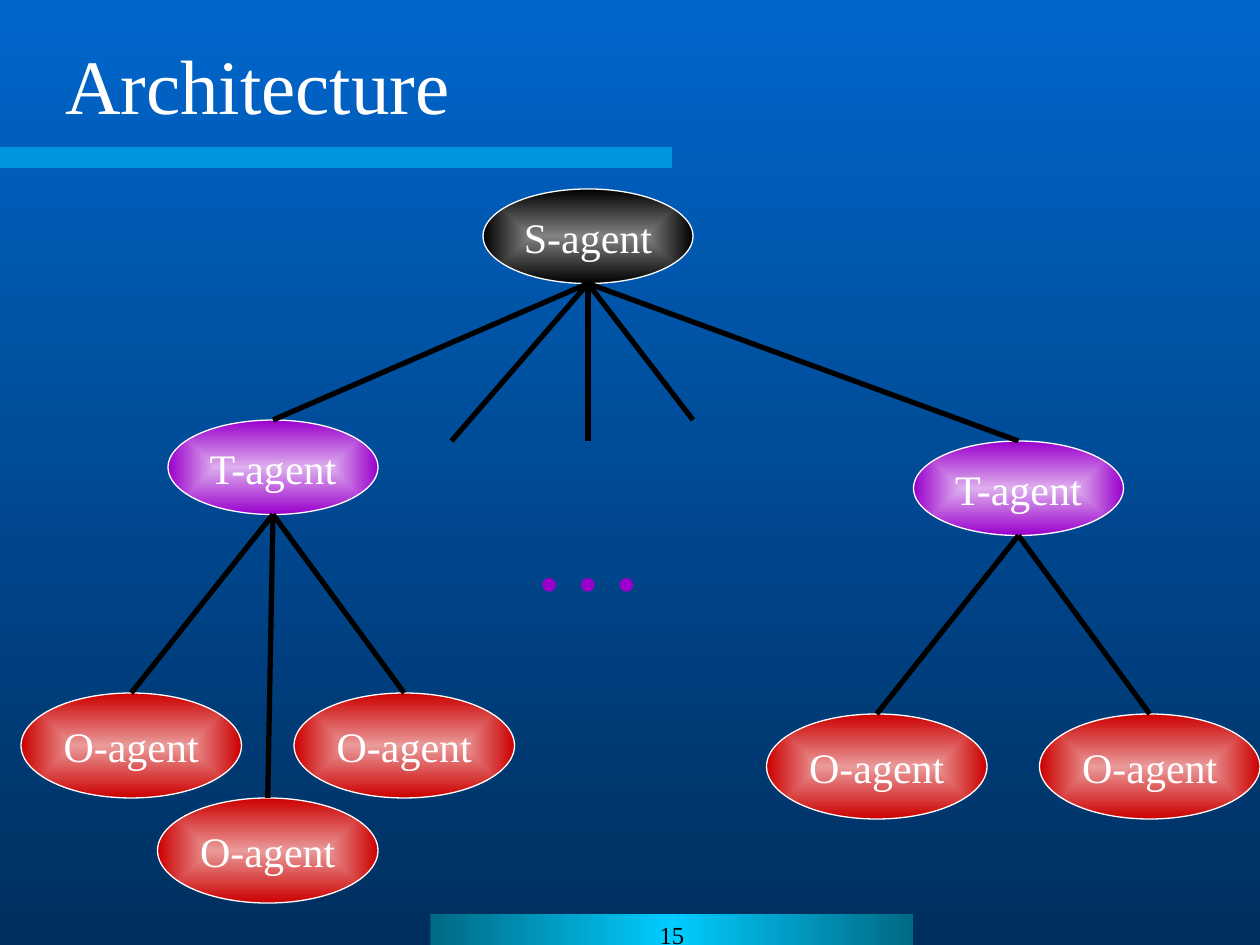
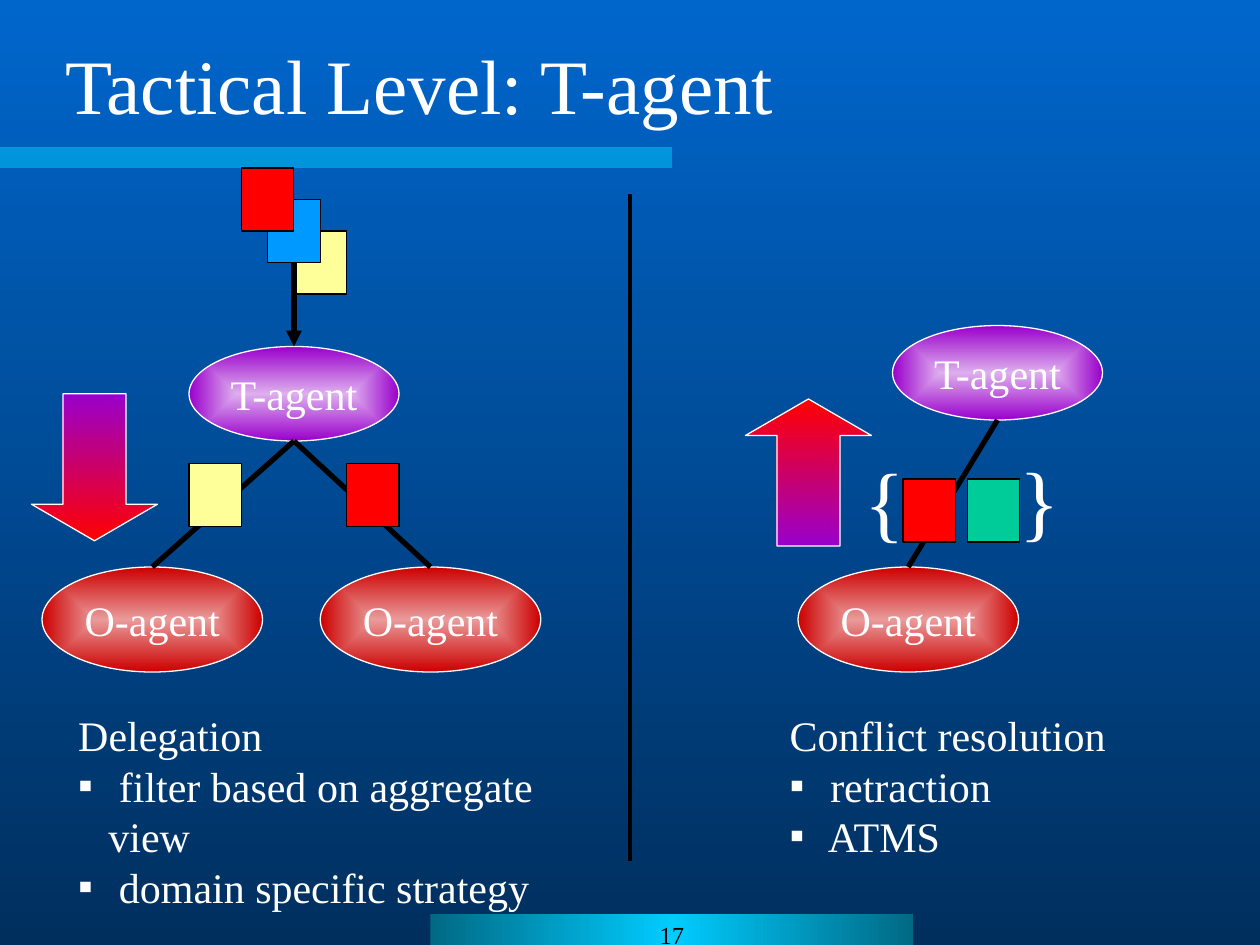
"""Builds two slides on an agent architecture: the hierarchy and the tactical level."""
from lxml import etree
from pptx import Presentation
from pptx.dml.color import RGBColor
from pptx.enum.shapes import MSO_CONNECTOR, MSO_SHAPE
from pptx.enum.text import MSO_ANCHOR, MSO_AUTO_SIZE, PP_ALIGN
from pptx.oxml.ns import qn
from pptx.util import Pt

PX = 9525
FONT = "Times New Roman"
WHITE, BLACK, RED, PURPLE = "FFFFFF", "000000", "FF0000", "9900CC"
YELLOW, BLUE, GREEN, CYAN, TEAL = "FFFF99", "0099FF", "00CC99", "00CCFF", "006984"
RECTANGLE, ELLIPSE = MSO_SHAPE.RECTANGLE, MSO_SHAPE.OVAL
DOWN_ARROW, UP_ARROW = MSO_SHAPE.DOWN_ARROW, MSO_SHAPE.UP_ARROW
STRAIGHT = MSO_CONNECTOR.STRAIGHT
LEFT, CENTER = PP_ALIGN.LEFT, PP_ALIGN.CENTER
TOP, MIDDLE = MSO_ANCHOR.TOP, MSO_ANCHOR.MIDDLE
NO_FIT = MSO_AUTO_SIZE.NONE
TITLE_ONLY, TWO_CONTENT = 5, 3
rgb = RGBColor.from_string


def fill_gradient(fill, holder, colors, angle=None):
    """Spread colours evenly, along an angle or outward from the centre."""
    fill.gradient()
    gradient = holder.find(".//" + qn("a:gradFill"))
    for child in list(gradient):
        gradient.remove(child)
    stops = etree.SubElement(gradient, qn("a:gsLst"))
    for i, color in enumerate(colors):
        stop = etree.SubElement(stops, qn("a:gs"), pos=str(100000 * i // (len(colors) - 1)))
        etree.SubElement(stop, qn("a:srgbClr"), val=color)
    if angle is None:
        outward = etree.SubElement(gradient, qn("a:path"), path="rect")
        etree.SubElement(outward, qn("a:fillToRect"), dict.fromkeys("ltrb", "50000"))
    else:
        etree.SubElement(gradient, qn("a:lin"), ang=str(angle * 60000), scaled="0")


def draw_line(slide, start, end, width=3):
    """Draw a straight black line without shadow."""
    line = slide.shapes.add_connector(STRAIGHT, *(PX * v for v in (*start, *end)))
    line.line.color.rgb = rgb(BLACK)
    line.line.width = Pt(width)
    etree.SubElement(line._element.spPr, qn("a:effectLst"))
    return line


AGENTS = {
    "S-agent": (160, 72, "828282", BLACK),
    "T-agent": (160, 72, "DEAFEE", PURPLE),
    "O-agent": (168, 80, "EA9A9A", "CC0000"),
}
HIERARCHY = [
    ("S-agent", 368, 144, None),
    ("T-agent", 128, 320, 0),
    ("T-agent", 696, 336, 0),
    ("O-agent", 16, 528, 1),
    ("O-agent", 224, 528, 1),
    ("O-agent", 120, 608, 1),
    ("O-agent", 584, 544, 2),
    ("O-agent", 792, 544, 2),
]
TACTICAL = [
    ("T-agent", 144, 264, None),
    ("O-agent", 32, 432, 0),
    ("O-agent", 244, 432, 0),
    ("T-agent", 680, 248, None),
    ("O-agent", 608, 432, 3),
]

deck = Presentation()
deck.slide_width, deck.slide_height = 960 * PX, 720 * PX
master = deck.slide_master
fill_gradient(master.background.fill, master.element, ["0066CC", "002F5E"], 90)

slides = []
texts = []
for heading, number, layout, agents in [
    ("Architecture", "15", TITLE_ONLY, HIERARCHY),
    ("Tactical Level: T-agent", "17", TWO_CONTENT, TACTICAL),
]:
    slide = deck.slides.add_slide(deck.slide_layouts[layout])
    slides.append(slide)
    title = slide.shapes.title
    title.left, title.top, title.width, title.height = (PX * v for v in (40, 24, 888, 80))
    title.text_frame.text = heading
    title.text_frame.vertical_anchor = MIDDLE
    texts.append((title, 44, WHITE, LEFT))

    title_band = slide.shapes.add_shape(RECTANGLE, *(PX * v for v in (0, 112, 512, 16)))
    title_band.fill.solid()
    title_band.fill.fore_color.rgb = rgb(CYAN)
    band_color = title_band._element.spPr.find(".//" + qn("a:srgbClr"))
    etree.SubElement(band_color, qn("a:alpha"), val="50000")
    footer = slide.shapes.add_shape(RECTANGLE, *(PX * v for v in (328, 696, 368, 24)))
    fill_gradient(footer.fill, footer._element, [TEAL, CYAN, TEAL], 0)
    footer.text_frame.text = number
    footer.text_frame.vertical_anchor = TOP
    texts.append((footer, 14, BLACK, CENTER))
    for band in (title_band, footer):
        band.line.fill.background()
        band.shadow.inherit = False

    for kind, left, top, parent in agents:
        width, height, inner, outer = AGENTS[kind]
        agent = slide.shapes.add_shape(ELLIPSE, *(PX * v for v in (left, top, width, height)))
        fill_gradient(agent.fill, agent._element, [inner, outer])
        agent.line.color.rgb = rgb(WHITE)
        agent.line.width = Pt(0.75)
        agent.shadow.inherit = False
        agent.text_frame.text = kind
        agent.text_frame.word_wrap = False
        agent.text_frame.vertical_anchor = MIDDLE
        texts.append((agent, 24, WHITE, CENTER))
        if parent is not None:
            parent_kind, parent_left, parent_top, _ = agents[parent]
            parent_width, parent_height = AGENTS[parent_kind][:2]
            draw_line(slide, (left + width // 2, top),
                      (parent_left + parent_width // 2, parent_top + parent_height))

architecture, tactical = slides

for loose_end in [(344, 336), (448, 336), (528, 320)]:
    draw_line(architecture, (448, 216), loose_end)

stack = [(184 + 20 * i, 128 + 24 * i, color) for i, color in enumerate([RED, BLUE, YELLOW])]
delegated = [(264, 353, RED), (144, 353, YELLOW)]
conflicting = [(737, 365, GREEN), (688, 365, RED)]
for left, top, color in stack[::-1] + delegated + conflicting:
    card = tactical.shapes.add_shape(RECTANGLE, *(PX * v for v in (left, top, 40, 48)))
    card.fill.solid()
    card.fill.fore_color.rgb = rgb(color)
    card.line.color.rgb = rgb(BLACK)
    card.line.width = Pt(0.71)
    card.shadow.inherit = False

incoming = draw_line(tactical, (224, 200), (224, 264))
etree.SubElement(incoming.line._get_or_add_ln(), qn("a:tailEnd"), type="triangle")
draw_line(tactical, (480, 148), (480, 656), 2.25)

for direction, left, top, colors in [
    (DOWN_ARROW, 24, 300, [PURPLE, RED]),
    (UP_ARROW, 568, 304, [RED, PURPLE]),
]:
    flow = tactical.shapes.add_shape(direction, *(PX * v for v in (left, top, 96, 112)))
    flow.adjustments[0], flow.adjustments[1] = 0.5, 0.29
    fill_gradient(flow.fill, flow._element, colors, 90)
    flow.line.color.rgb = rgb(WHITE)
    flow.line.width = Pt(0.75)
    flow.shadow.inherit = False

for slide, symbol, box, size, color in [
    (architecture, "…", (395, 357, 108, 115), 66, PURPLE),
    (tactical, "{", (649, 337, 50, 86), 48, WHITE),
    (tactical, "}", (767, 336, 50, 86), 48, WHITE),
]:
    sign = slide.shapes.add_textbox(*(PX * v for v in box))
    sign.text_frame.text = symbol
    sign.text_frame.word_wrap = False
    texts.append((sign, size, color, LEFT))

for index, left, width, lines in [
    (1, 50, 428, ["Delegation", " filter based on aggregate view", " domain specific strategy"]),
    (2, 592, 300, ["Conflict resolution", " retraction", " ATMS"]),
]:
    task = tactical.placeholders[index]
    task.left, task.top, task.width, task.height = (PX * v for v in (left, 536, width, 160))
    task.text_frame.text = "\n".join(lines)
    task.text_frame.auto_size = NO_FIT
    task.text_frame.vertical_anchor = TOP
    for i, paragraph in enumerate(task.text_frame.paragraphs):
        properties = paragraph._p.get_or_add_pPr()
        properties.set("marL", str(23 * PX if i else 0))
        properties.set("indent", str(-23 * PX if i else 0))
        if i:
            bullet_color = etree.SubElement(properties, qn("a:buClr"))
            etree.SubElement(bullet_color, qn("a:srgbClr"), val=WHITE)
            etree.SubElement(properties, qn("a:buFont"), typeface=FONT)
            etree.SubElement(properties, qn("a:buChar"), char="▪")
        else:
            etree.SubElement(properties, qn("a:buNone"))
        paragraph.space_before = Pt(0)
        paragraph.line_spacing = 1.0
    texts.append((task, 24, WHITE, LEFT))

for holder, size, color, alignment in texts:
    for paragraph in holder.text_frame.paragraphs:
        paragraph.alignment = alignment
        for run in paragraph.runs:
            run.font.name = FONT
            run.font.size = Pt(size)
            run.font.color.rgb = rgb(color)

deck.save("out.pptx")
